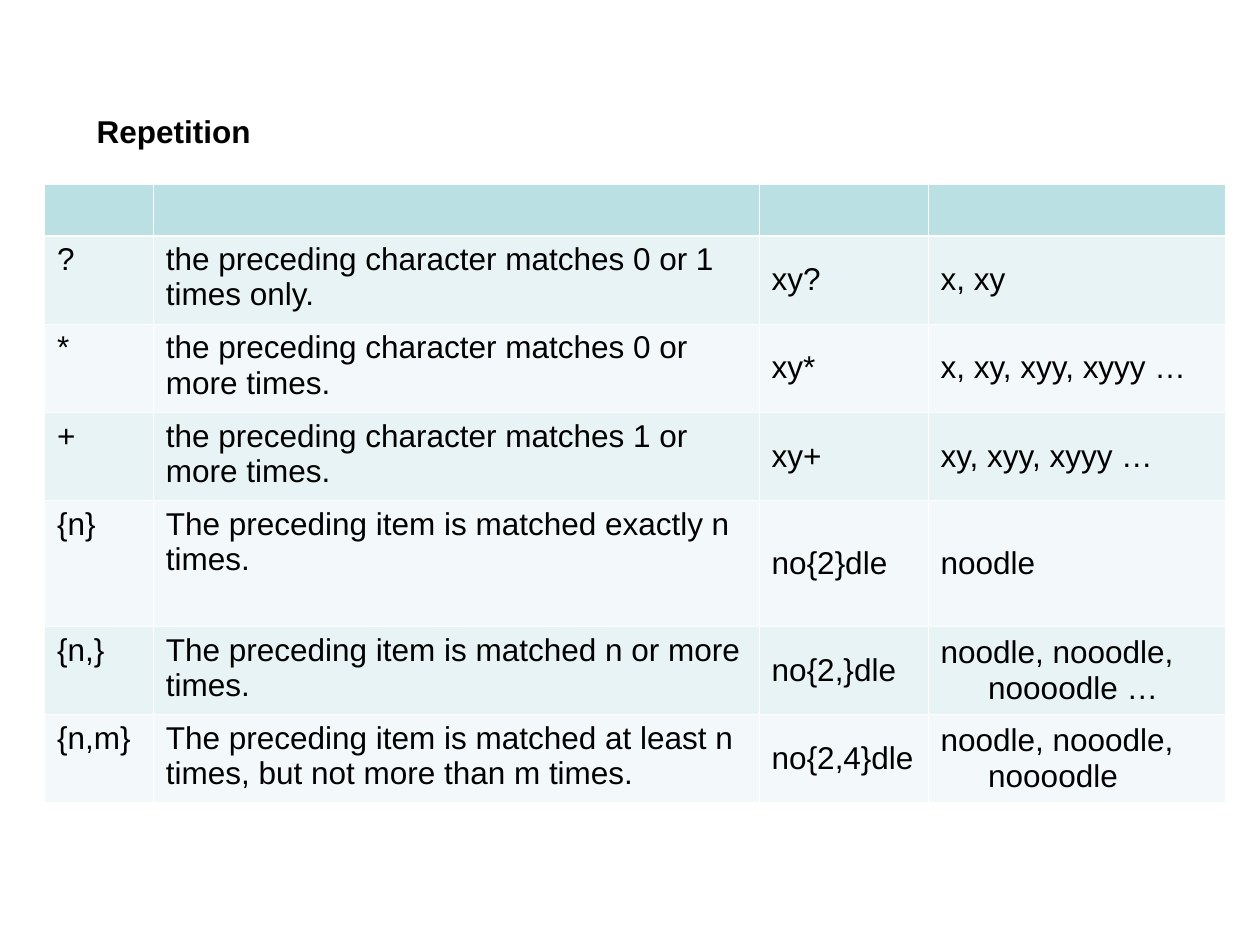
from lxml.etree import SubElement
from pptx import Presentation
from pptx.dml.color import RGBColor
from pptx.enum.text import MSO_ANCHOR, MSO_AUTO_SIZE
from pptx.oxml.ns import qn
from pptx.util import Pt

BLACK, WHITE = "000000", "FFFFFF"
HEADER_FILL = "BBE0E3"
BAND_FILLS = ("E7F3F4", "F3F9FA")
THIN, THICK = 0.45, 1.47
HANGING = 27.2

COLUMN_WIDTHS = (62.2, 346.2, 96.5, 169.7)
ROW_HEIGHTS = (28.8, 50.4, 50.4, 50.4, 72, 50.4, 50.4)
REPETITIONS = (
    ("?", "the preceding character matches 0 or 1 times only.", "xy?", "x, xy"),
    ("*", "the preceding character matches 0 or more times.", "xy*", "x, xy, xyy, xyyy …"),
    ("+", "the preceding character matches 1 or more times.", "xy+", "xy, xyy, xyyy …"),
    ("{n}", "The preceding item is matched exactly n times.", "no{2}dle", "noodle"),
    ("{n,}", "The preceding item is matched n or more times.", "no{2,}dle",
     "noodle, nooodle, noooodle …"),
    ("{n,m}", "The preceding item is matched at least n times, but not more than m times.",
     "no{2,4}dle", "noodle, nooodle, noooodle"),
)


def color(value):
    return RGBColor.from_string(value)


def write_text(frame, text, size=18, bold=False, hanging=0):
    para = frame.paragraphs[0]
    if hanging:
        properties = para._p.get_or_add_pPr()
        properties.set("marL", str(Pt(hanging)))
        properties.set("indent", str(-Pt(hanging)))
    span = para.add_run()
    span.text = text
    span.font.name = "Arial"
    span.font.size = Pt(size)
    span.font.bold = bold
    span.font.color.rgb = color(BLACK)


def add_borders(cell, top=THIN, bottom=THIN):
    properties = cell._tc.get_or_add_tcPr()
    for side, width in (("L", THIN), ("R", THIN), ("T", top), ("B", bottom)):
        line = SubElement(properties, qn(f"a:ln{side}"), w=str(Pt(width)))
        fill = SubElement(line, qn("a:solidFill"))
        SubElement(fill, qn("a:srgbClr"), val=WHITE)


def fill_cell(cell, fill):
    cell.fill.solid()
    cell.fill.fore_color.rgb = color(fill)


def add_title(page, text, left, top, width, height):
    box = page.shapes.add_textbox(Pt(left), Pt(top), Pt(width), Pt(height))
    box.text_frame.word_wrap = True
    box.text_frame.auto_size = MSO_AUTO_SIZE.SHAPE_TO_FIT_TEXT
    write_text(box.text_frame, text, bold=True)


def add_repetition_table(page, left, top):
    table = page.shapes.add_table(
        len(ROW_HEIGHTS), len(COLUMN_WIDTHS), Pt(left), Pt(top),
        Pt(sum(COLUMN_WIDTHS)), Pt(sum(ROW_HEIGHTS))).table
    table.first_row = table.horz_banding = False
    for column, width in zip(table.columns, COLUMN_WIDTHS):
        column.width = Pt(width)
    for row, height in zip(table.rows, ROW_HEIGHTS):
        row.height = Pt(height)

    # Empty header band, set off by a thicker line
    for cell in table.rows[0].cells:
        add_borders(cell, bottom=THICK)
        fill_cell(cell, HEADER_FILL)

    # Symbol and meaning at the top, pattern and matches in the middle
    for row_index, texts in enumerate(REPETITIONS, start=1):
        for column_index, text in enumerate(texts):
            cell = table.cell(row_index, column_index)
            is_example = column_index >= 2
            add_borders(cell, top=THICK if row_index == 1 else THIN)
            fill_cell(cell, BAND_FILLS[(row_index - 1) % 2])
            cell.vertical_anchor = MSO_ANCHOR.MIDDLE if is_example else MSO_ANCHOR.TOP
            write_text(cell.text_frame, text, hanging=HANGING if is_example else 0)


def main():
    deck = Presentation()
    deck.slide_width, deck.slide_height = Pt(720), Pt(540)
    page = deck.slides.add_slide(deck.slide_layouts[6])
    add_repetition_table(page, 25.4, 105.5)
    add_title(page, "Repetition", 48.2, 60.5, 409, 28.8)
    deck.save("out.pptx")


if __name__ == "__main__":
    main()
